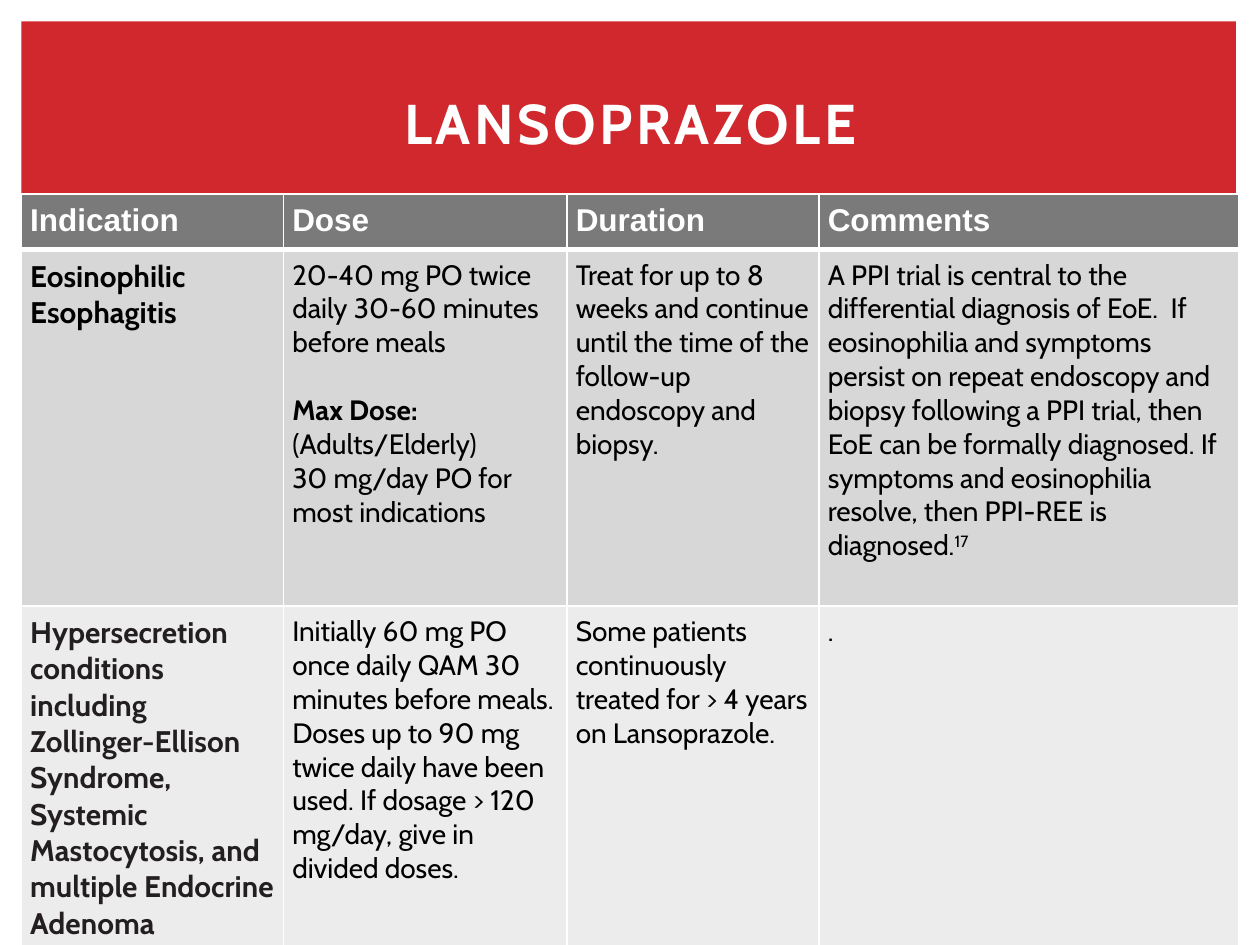
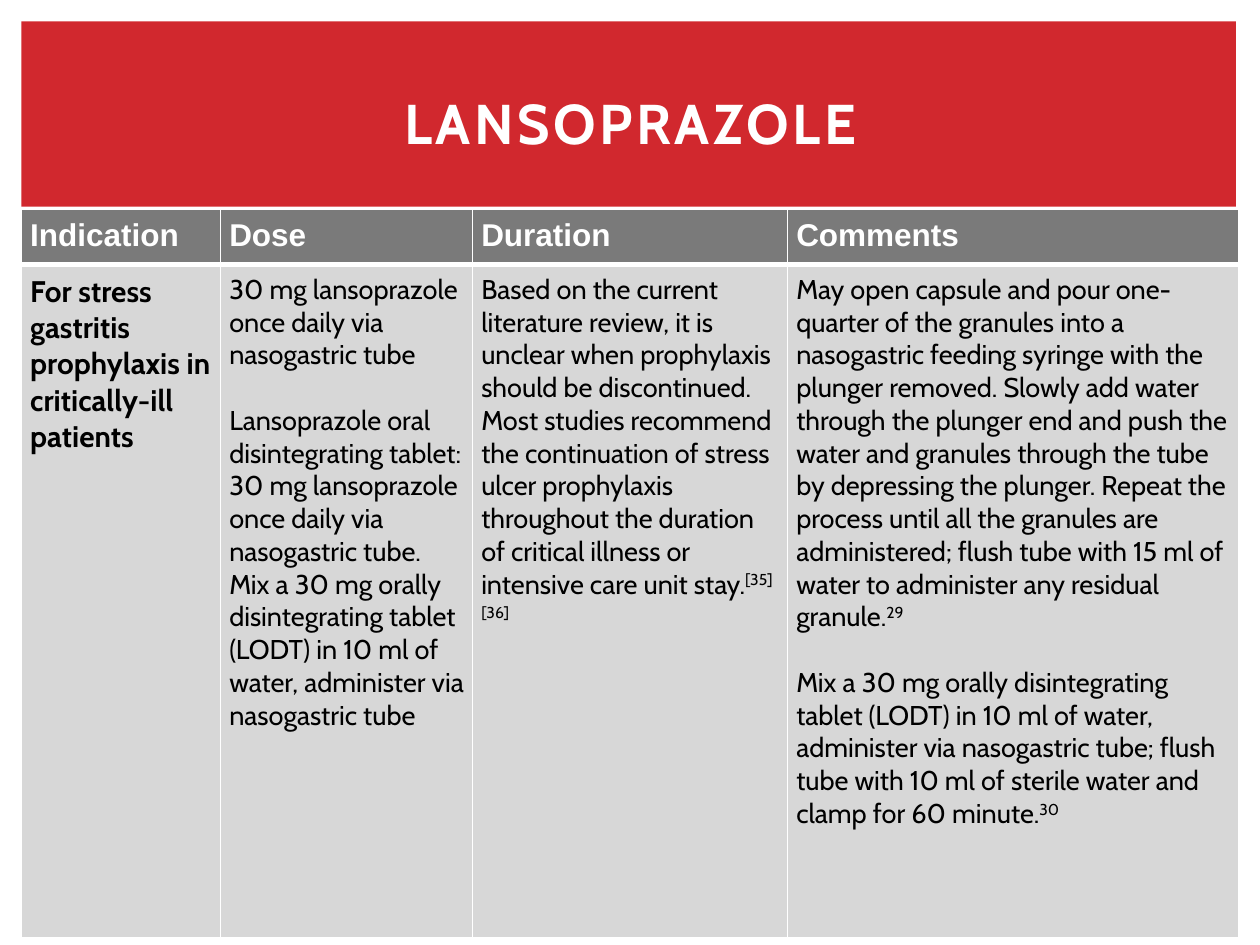
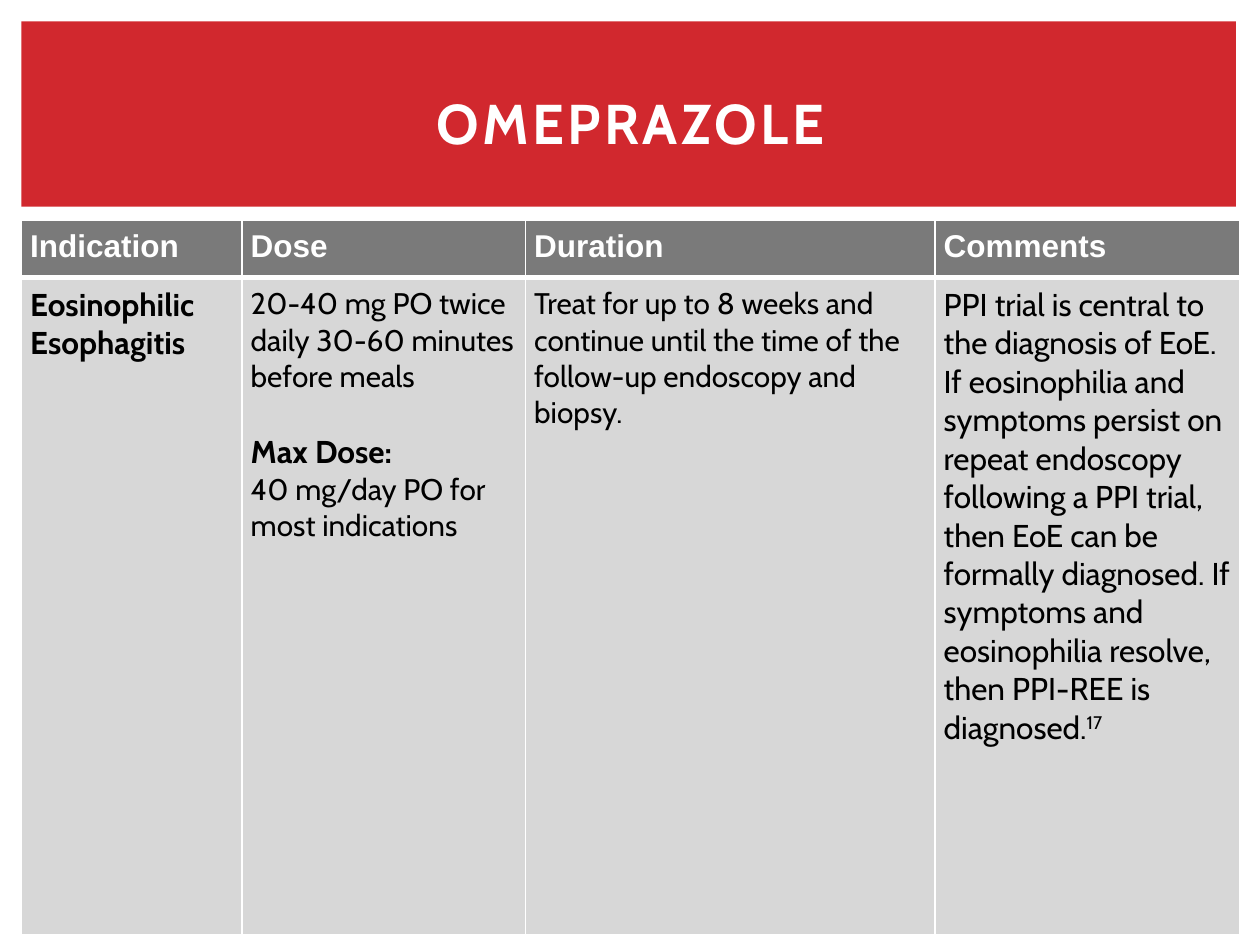
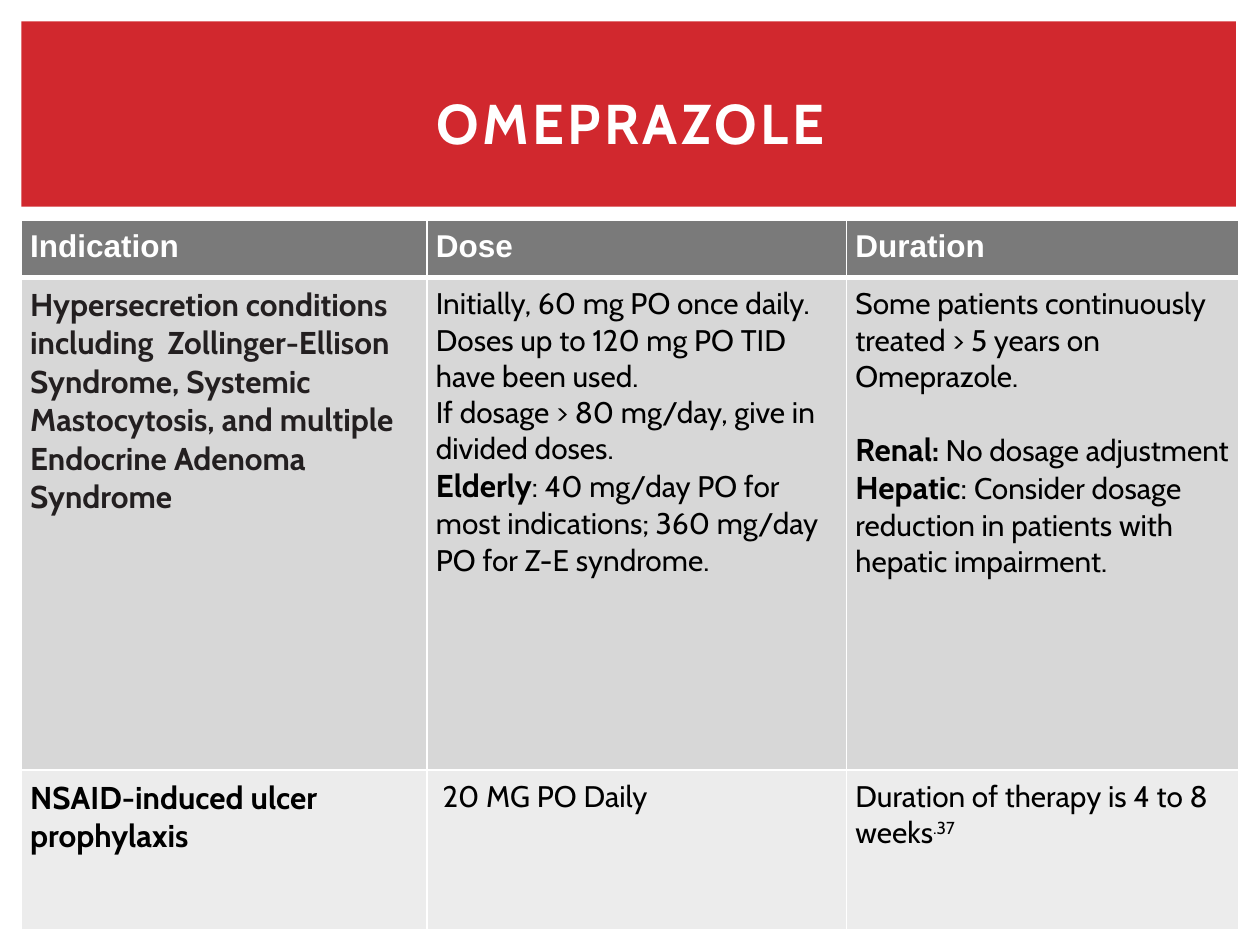
from dataclasses import dataclass

from lxml import etree
from pptx import Presentation
from pptx.dml.color import RGBColor
from pptx.enum.shapes import MSO_SHAPE
from pptx.enum.text import MSO_ANCHOR, PP_ALIGN
from pptx.oxml.ns import qn
from pptx.util import Emu, Pt

RECTANGLE = MSO_SHAPE.RECTANGLE
MIDDLE = MSO_ANCHOR.MIDDLE
CENTER = PP_ALIGN.CENTER

PX = 9144  # 100 px to the inch
LINE_HEIGHT = 1.21  # of the text size
TABLE_LEFT = 17
CELL_MARGIN = 7

RED, WHITE, BLACK, INK = "D1282E", "FFFFFF", "000000", "231F20"
HEADER_FILL = "7A7A7A"
ROW_FILLS = ("D7D7D7", "ECECEC")
HEADER_FONT, BODY_FONT = "Arial", "Cabin"


def px(length):
    return Emu(length * PX)


def rgb(code):
    return RGBColor.from_string(code)


@dataclass
class Span:
    text: str
    bold: bool | None = None
    size: float | None = None
    raised: bool = False


@dataclass
class Para:
    spans: list
    size: float = 17
    bold: bool = False
    color: str = BLACK
    font: str = BODY_FONT
    blank_before: float = 0  # text size of the line left empty above
    after: float = 0


def body(size, *parts, **style):
    """A paragraph of plain strings and Spans."""
    spans = [Span(part) if isinstance(part, str) else part for part in parts]
    return Para(spans, size, **style)


def name(text, size=17, color=BLACK):
    """The bold indication that opens a row."""
    return [body(size, text, bold=True, color=color)]


def note(text):
    return Span(text, raised=True)


class DosingDeck:
    def __init__(self):
        self.deck = Presentation()
        self.deck.slide_width, self.deck.slide_height = px(1000), px(750)
        self.page = None

    def add_page(self, title):
        self.page = self.deck.slides.add_slide(self.deck.slide_layouts[6])
        self.band(17, 17, 964, 147)
        self.title(title)

    def band(self, left, top, width, height):
        box = self.page.shapes.add_shape(RECTANGLE, px(left), px(top), px(width), px(height))
        box.shadow.inherit = False
        box.fill.solid()
        box.fill.fore_color.rgb = rgb(RED)
        box.line.fill.background()

    def title(self, text):
        box = self.page.shapes.add_textbox(px(42), px(39), px(917), px(115))
        frame = box.text_frame
        frame.word_wrap = True
        frame.vertical_anchor = MIDDLE
        para = frame.paragraphs[0]
        para.alignment = CENTER
        self.fill_para(para, Para([Span(text)], 32, True, WHITE))
        para.runs[0]._r.get_or_add_rPr().set("spc", "200")

    def fill_para(self, para, content):
        font = para.font
        font.name, font.size, font.bold = content.font, Pt(content.size), content.bold
        font.color.rgb = rgb(content.color)
        if content.blank_before:
            para.space_before = Pt(round(content.blank_before * LINE_HEIGHT, 1))
        if content.after:
            para.space_after = Pt(content.after)
        for part in content.spans:
            span = para.add_run()
            span.text = part.text
            if part.bold is not None:
                span.font.bold = part.bold
            if part.size:
                span.font.size = Pt(part.size)
            if part.raised:
                span._r.get_or_add_rPr().set("baseline", "30000")

    def borders(self, cell, bottom):
        """White cell edges, placed ahead of the fill as the schema asks."""
        props = cell._tc.get_or_add_tcPr()
        edges = (("lnL", 1), ("lnR", 1), ("lnT", 1), ("lnB", bottom))
        for place, (edge, points) in enumerate(edges):
            line = etree.Element(qn("a:" + edge), w=str(Pt(points)))
            fill = etree.SubElement(line, qn("a:solidFill"))
            etree.SubElement(fill, qn("a:srgbClr"), val=WHITE)
            props.insert(place, line)

    def cell(self, cell, paras, fill, bottom=1):
        cell.margin_left = cell.margin_right = px(CELL_MARGIN)
        cell.margin_top = cell.margin_bottom = px(CELL_MARGIN)
        cell.fill.solid()
        cell.fill.fore_color.rgb = rgb(fill)
        self.borders(cell, bottom)
        frame = cell.text_frame
        for index, content in enumerate(paras):
            para = frame.add_paragraph() if index else frame.paragraphs[0]
            self.fill_para(para, content)

    def table(self, top, widths, heights, headings, rows):
        table = self.page.shapes.add_table(
            len(heights), len(widths), px(TABLE_LEFT), px(top),
            px(sum(widths)), px(sum(heights))).table
        table.horz_banding = False
        for column, width in zip(table.columns, widths):
            column.width = px(width)
        for row, height in zip(table.rows, heights):
            row.height = px(height)
        for col, heading in enumerate(headings):
            para = Para([Span(heading)], 18, True, WHITE, HEADER_FONT)
            self.cell(table.cell(0, col), [para], HEADER_FILL, bottom=3)
        for index, row in enumerate(rows):
            for col, paras in enumerate(row):
                self.cell(table.cell(index + 1, col), paras, ROW_FILLS[index % 2])


# Wording used on several slides
HEADINGS = ("Indication", "Dose", "Duration", "Comments")
LANSOPRAZOLE, OMEPRAZOLE = "LANSOPRAZOLE", "OMEPRAZOLE"
ESOPHAGITIS = "Eosinophilic Esophagitis"
ESOPHAGITIS_DOSE = "20-40 mg PO twice daily 30-60 minutes before meals"
UNTIL_BIOPSY = ("Treat for up to 8 weeks and continue until the time of the "
                "follow-up endoscopy and biopsy.")
FORMAL_DIAGNOSIS = ("following a PPI trial, then EoE can be formally diagnosed. If symptoms "
                    "and eosinophilia resolve, then PPI-REE is diagnosed.")
PERSISTING = "If eosinophilia and symptoms persist on repeat endoscopy "
HYPERSECRETION = ("Hypersecretion conditions including  Zollinger-Ellison Syndrome, Systemic "
                  "Mastocytosis, and multiple Endocrine Adenoma Syndrome")
MIX_TABLET = ("Mix a 30 mg orally disintegrating tablet (LODT) in 10 ml of water, "
              "administer via nasogastric tube")
TUBE_DOSE = "30 mg lansoprazole once daily via nasogastric tube"


def main():
    dosing = DosingDeck()

    # Lansoprazole: esophagitis and hypersecretion
    dosing.add_page(LANSOPRAZOLE)
    dosing.table(154, (208, 225, 200, 333), (43, 283, 269), HEADINGS, [
        [name(ESOPHAGITIS),
         [body(16, ESOPHAGITIS_DOSE),
          body(16, "Max Dose:", bold=True, blank_before=16),
          body(16, "(Adults/Elderly)"),
          body(16, "30 mg/day PO for most indications")],
         [body(16, UNTIL_BIOPSY)],
         [body(16, "A PPI trial is central to the differential diagnosis of EoE.  "
               + PERSISTING + "and biopsy " + FORMAL_DIAGNOSIS, note("17"))]],
        [name(HYPERSECRETION, color=INK),
         [body(16, "Initially 60 mg PO once daily QAM 30 minutes before meals. Doses up to "
               "90 mg twice daily have been used. If dosage > 120 mg/day, give in "
               "divided doses.")],
         [body(16, "Some patients continuously treated for > 4 years on Lansoprazole.")],
         [body(16, ".")]],
    ])

    # Lansoprazole: stress gastritis
    dosing.add_page(LANSOPRAZOLE)
    dosing.table(166, (158, 200, 250, 358), (42, 534), HEADINGS, [
        [name("For stress gastritis prophylaxis in critically-ill patients"),
         [body(15.5, TUBE_DOSE),
          body(15.5, "Lansoprazole oral disintegrating tablet:", blank_before=15.5),
          body(15.5, TUBE_DOSE + ". " + MIX_TABLET)],
         [body(15.5, "Based on the current literature review, it is unclear when prophylaxis "
               "should be discontinued.  Most studies recommend the continuation of stress "
               "ulcer prophylaxis throughout the duration of critical illness or intensive "
               "care unit stay.", note("[35][36]"), after=10)],
         [body(15.5, "May open capsule and pour one-quarter of the granules into a "
               "nasogastric feeding syringe with the plunger removed. Slowly add water "
               "through the plunger end and push the water and granules through the tube by "
               "depressing the plunger. Repeat the process until all the granules are "
               "administered; flush tube with 15 ml of water to administer any residual "
               "granule.", note("29")),
          body(15.5, MIX_TABLET + "; flush tube with 10 ml of sterile water and clamp for "
               "60 minute.", note("30"), blank_before=15.5)]],
    ])

    # Omeprazole: esophagitis
    dosing.add_page(OMEPRAZOLE)
    dosing.table(175, (175, 225, 325, 242), (45, 522), HEADINGS, [
        [name(ESOPHAGITIS, 18),
         [body(17, ESOPHAGITIS_DOSE),
          body(18, "Max Dose:", bold=True, blank_before=18),
          body(17, "40 mg/day PO for most indications")],
         [body(17, UNTIL_BIOPSY)],
         [body(18, "PPI trial is central to the diagnosis of EoE.  " + PERSISTING
               + FORMAL_DIAGNOSIS, note("17"))]],
    ])

    # Omeprazole: hypersecretion and ulcer prophylaxis
    dosing.add_page(OMEPRAZOLE)
    dosing.table(175, (322, 333, 311), (45, 391, 127), HEADINGS[:3], [
        [name(HYPERSECRETION, 18, INK),
         [body(17, "Initially, 60 mg PO once daily. Doses up to 120 mg PO TID have been used."),
          body(17, "If dosage > 80 mg/day, give in divided doses."),
          body(17, Span("Elderly", True, 18),
               ": 40 mg/day PO for most indications; 360 mg/day PO for Z-E syndrome.")],
         [body(17, "Some patients continuously treated > 5 years on Omeprazole."),
          body(17, Span("Renal", True, 18), Span(":", True), " No dosage adjustment",
               blank_before=17),
          body(17, Span("Hepatic", True, 18), Span(": ", size=18),
               "Consider dosage reduction in patients with hepatic impairment.")]],
        [name("NSAID-induced ulcer prophylaxis", 18),
         [body(17, " 20 MG PO Daily")],
         [body(17, "Duration of therapy is 4 to 8 weeks", note(".37"))]],
    ])

    dosing.deck.save("out.pptx")


if __name__ == "__main__":
    main()
